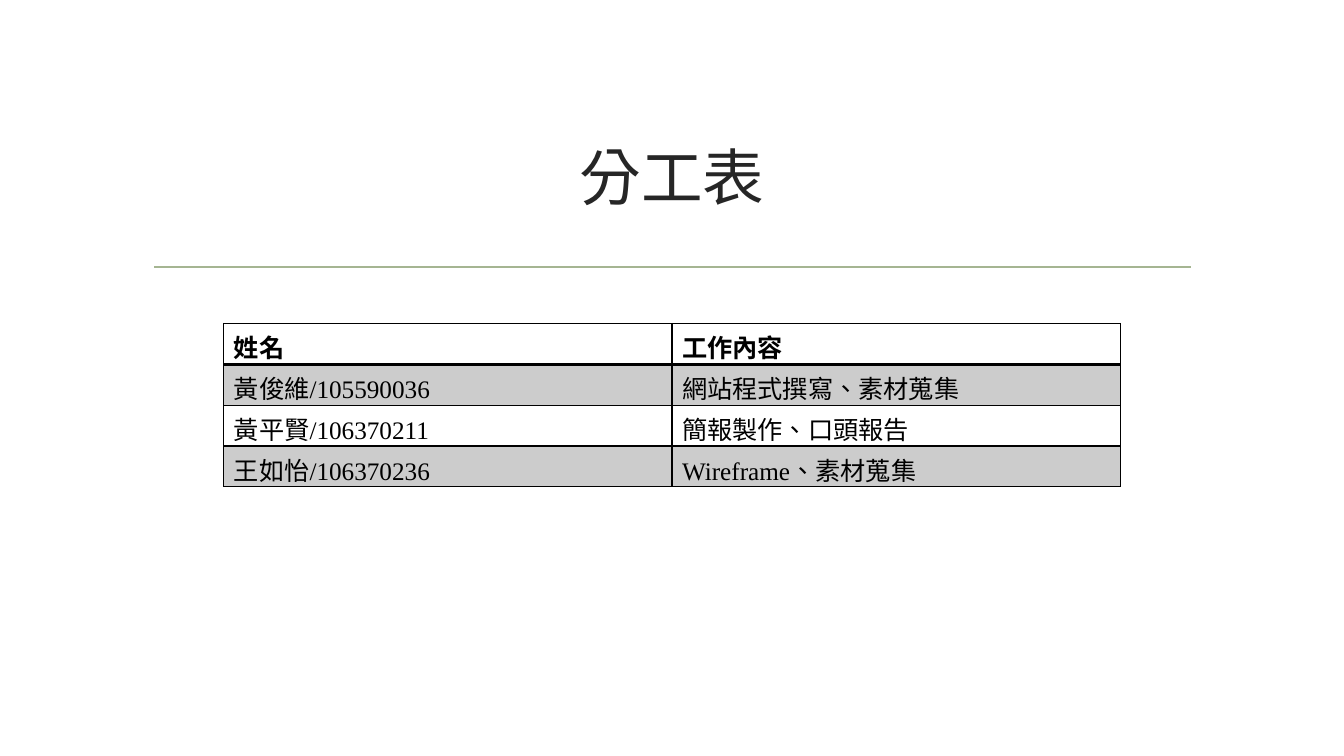
from lxml.etree import SubElement
from pptx import Presentation
from pptx.dml.color import RGBColor
from pptx.enum.lang import MSO_LANGUAGE_ID
from pptx.enum.shapes import MSO_CONNECTOR
from pptx.enum.text import MSO_ANCHOR, PP_ALIGN
from pptx.oxml.ns import qn
from pptx.util import Inches, Pt

BLACK = RGBColor(0x00, 0x00, 0x00)
CHARCOAL = RGBColor(0x26, 0x26, 0x26)
SAGE = RGBColor(0xA5, 0xB5, 0x92)
FONT = "Times New Roman"
DUTIES = [
    ("姓名", "工作內容"),
    ("黃俊維/105590036", "網站程式撰寫、素材蒐集"),
    ("黃平賢/106370211", "簡報製作、口頭報告"),
    ("王如怡/106370236", "Wireframe、素材蒐集"),
]


def write(frame, text, size, color, bold=False):
    para = frame.paragraphs[0]
    span = para.add_run()
    span.text = text
    span.font.language_id = MSO_LANGUAGE_ID.TRADITIONAL_CHINESE
    para.font.name = FONT
    para.font.size = Pt(size)
    para.font.bold = bold
    para.font.color.rgb = color
    return para


def add_border(cell, side, points):
    """Draw one side of a cell; sides must be added in the order L, R, T, B."""
    edge = SubElement(cell._tc.get_or_add_tcPr(), qn(f"a:ln{side}"), w=str(Pt(points)))
    paint = SubElement(edge, qn("a:solidFill"))
    SubElement(paint, qn("a:srgbClr"), val=str(BLACK))


deck = Presentation()
deck.slide_width = Inches(13.33)
deck.slide_height = Inches(7.5)
page = deck.slides.add_slide(deck.slide_layouts[6])

# Rule under the title
rule_y = Inches(2.65)
rule = page.shapes.add_connector(
    MSO_CONNECTOR.STRAIGHT, Inches(1.53), rule_y, Inches(11.81), rule_y)
rule.line.color.rgb = SAGE
rule.line.width = Pt(1.25)
SubElement(rule._element.spPr, qn("a:effectLst"))

# Title
title = page.shapes.add_textbox(Inches(2), Inches(0.92), Inches(9.33), Inches(1.65))
title.text_frame.word_wrap = True
title.text_frame.vertical_anchor = MSO_ANCHOR.MIDDLE
write(title.text_frame, "分工表", 44, CHARCOAL).alignment = PP_ALIGN.CENTER

# Table of duties
row_count, column_count = len(DUTIES), len(DUTIES[0])
table = page.shapes.add_table(
    row_count, column_count, Inches(2.22), Inches(3.21),
    Inches(8.89), Inches(0.405) * row_count).table
table.horz_banding = False
table.first_row = False

for row, duty in enumerate(DUTIES):
    for column, text in enumerate(duty):
        cell = table.cell(row, column)
        write(cell.text_frame, text, 18, BLACK, bold=row == 0)
        widths = {"L": 1, "R": 1, "T": 2 if row == 1 else 1, "B": 2 if row == 0 else 1}
        for side, points in widths.items():
            add_border(cell, side, points)
        if row % 2:
            cell.fill.solid()
            cell.fill.fore_color.rgb = BLACK
            shade = cell._tc.tcPr.find(qn("a:solidFill")).find(qn("a:srgbClr"))
            SubElement(shade, qn("a:alpha"), val="20000")
        else:
            cell.fill.background()

deck.save("out.pptx")
